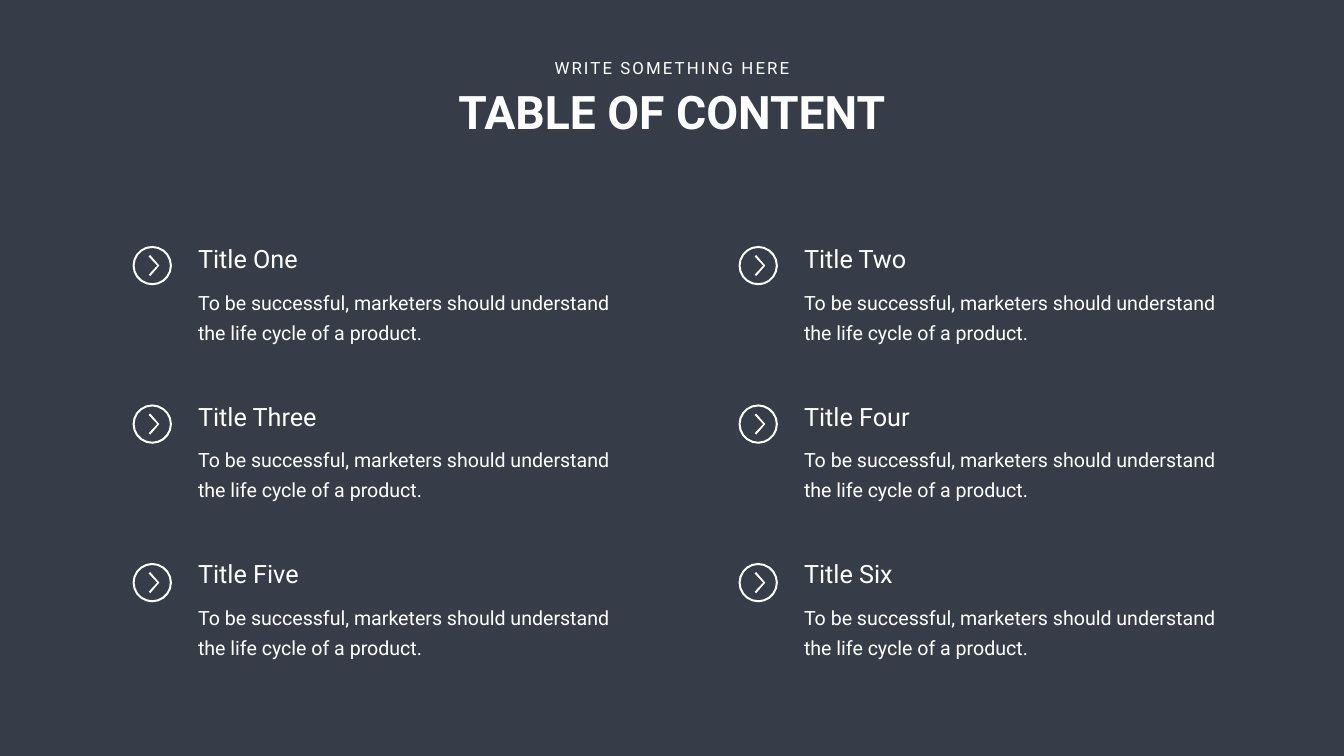
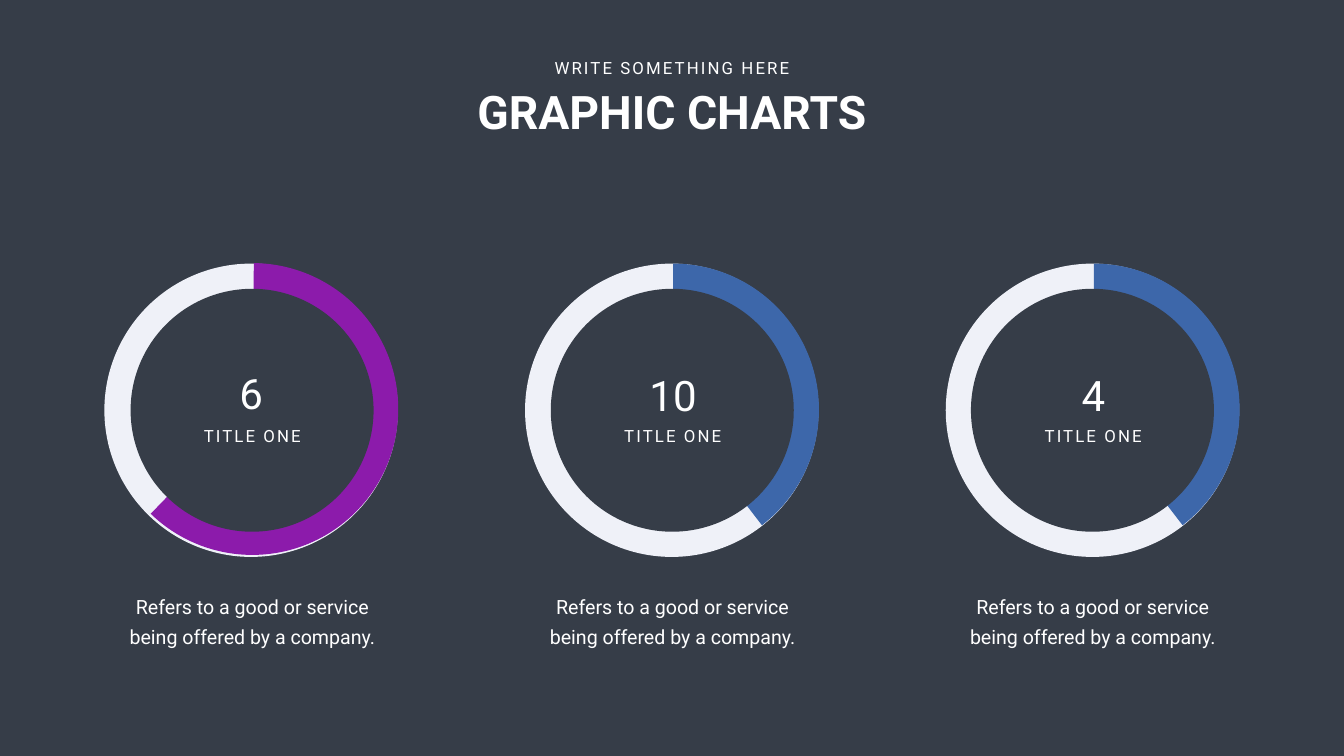
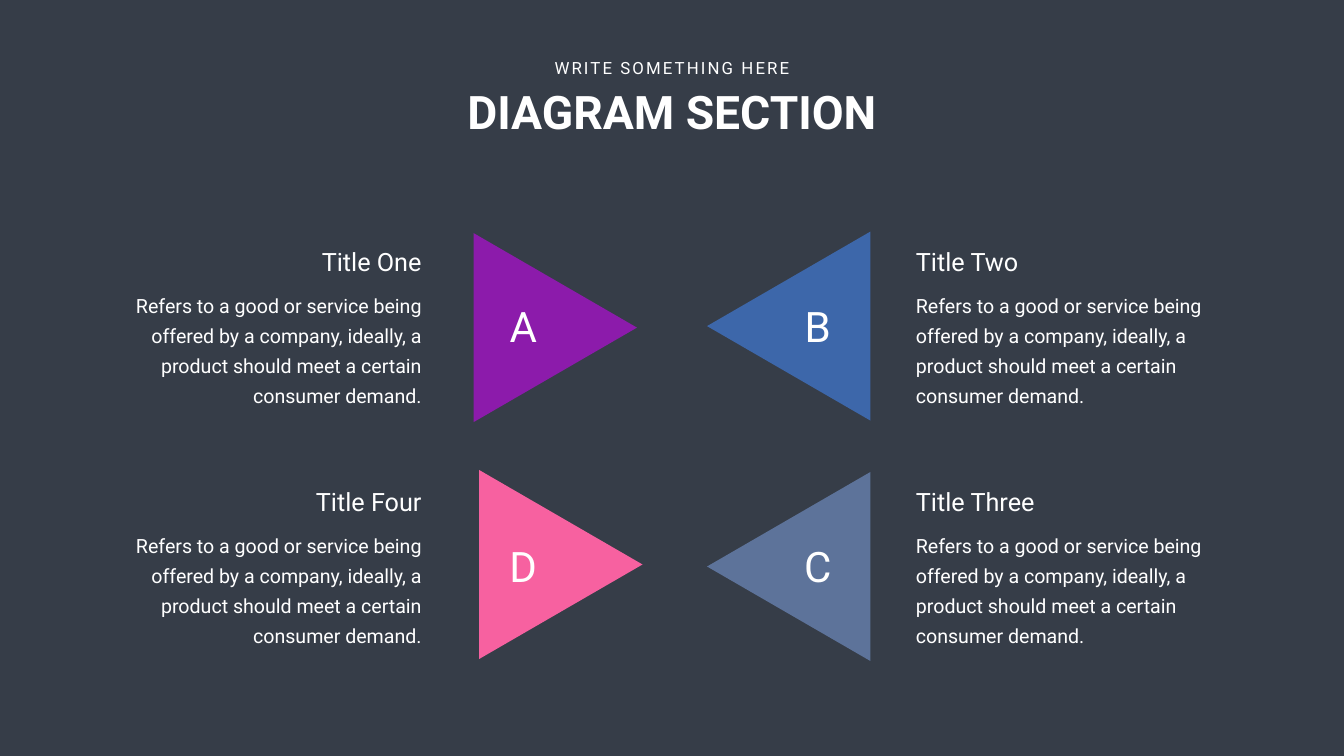
"""Build three dark slides: a table of content, ring charts and a triangle diagram."""
from math import cos, pi, sin

from pptx import Presentation
from pptx.dml.color import RGBColor
from pptx.enum.shapes import MSO_SHAPE
from pptx.enum.text import MSO_AUTO_SIZE, PP_ALIGN
from pptx.util import Inches, Pt

DARK = RGBColor(0x36, 0x3D, 0x48)
WHITE = RGBColor(0xFF, 0xFF, 0xFF)
PALE = RGBColor(0xEF, 0xF1, 0xF8)
PURPLE = RGBColor(0x8C, 0x1B, 0xAB)
BLUE = RGBColor(0x3D, 0x67, 0xAA)
SLATE = RGBColor(0x5D, 0x73, 0x9A)
PINK = RGBColor(0xF7, 0x61, 0xA0)
FONT = "Roboto"
LEFT, MID, RIGHT = PP_ALIGN.LEFT, PP_ALIGN.CENTER, PP_ALIGN.RIGHT


def write(slide, words, at, size, align=MID, bold=False, lead=None, track=None):
    box = slide.shapes.add_textbox(*map(Inches, at))
    frame = box.text_frame
    frame.word_wrap = track is None
    frame.auto_size = MSO_AUTO_SIZE.SHAPE_TO_FIT_TEXT
    para = frame.paragraphs[0]
    para.alignment = align
    if lead:
        para.line_spacing = Pt(lead)
    run = para.add_run()
    run.text = words
    font = run.font
    font.name, font.size, font.bold = FONT, Pt(size), bold
    font.color.rgb = WHITE
    if track:
        run._r.get_or_add_rPr().set("spc", str(track * 100))


def paint(shape, color):
    shape.shadow.inherit = False
    shape.fill.solid()
    shape.fill.fore_color.rgb = color
    shape.line.fill.background()
    return shape


deck = Presentation()
deck.slide_width, deck.slide_height = Inches(26.66), Inches(15)
back = deck.slide_master.background.fill
back.solid()
back.fore_color.rgb = DARK

slides = []
for title in ("TABLE OF CONTENT", "GRAPHIC CHARTS", "DIAGRAM SECTION"):
    slide = deck.slides.add_slide(deck.slide_layouts[6])
    write(slide, title, (7.61, 1.61, 11.44, 1.21), 66, bold=True)
    write(slide, "WRITE SOMETHING HERE", (10.83, 1.1, 5, 0.5), 24, track=3)
    slides.append(slide)
content, charts, diagram = slides

advice = "To be successful, marketers should understand the life cycle of a product."
names = (("One", "Three", "Five"), ("Two", "Four", "Six"))
for col, group in enumerate(names):
    for row, name in enumerate(group):
        x, y = 3.83 + 12.02 * col, 4.78 + 6.25 * row / 2
        write(content, advice, (x, y + 0.81, 8.45, 1.25), 28, LEFT, lead=43)
        write(content, f"Title {name}", (x, y, 4.19, 0.71), 36, LEFT)

STEPS = 20
turns = [2 * pi * i / STEPS for i in range(STEPS)]
outer, inner = [[(r * cos(t), r * sin(t)) for t in turns] for r in (0.39, 0.35)]
arrow = [(-0.04, -0.21), (0.14, 0), (-0.04, 0.21), (-0.07, 0.18), (0.1, 0), (-0.07, -0.18)]
for col in range(2):
    for row in range(3):
        x, y = 3.02 + 12.02 * col, 5.27 + 6.29 * row / 2
        pen = content.shapes.build_freeform(Inches(x + 0.39), Inches(y))
        for outline in (outer, inner, arrow):
            dots = [(Inches(x + dx), Inches(y + dy)) for dx, dy in outline]
            if outline is not outer:
                pen.move_to(*dots[0])
            pen.add_line_segments(dots[1:], close=True)
        paint(pen.convert_to_shape(), WHITE)

rings = (
    ("6", 3.39, 7.25, 5.22, 270.6, 134.12, PURPLE),
    ("10", 11.76, 7.28, 5.23, 270.07, 52.48, BLUE),
    ("4", 20.1, 7.28, 5.23, 270.07, 52.48, BLUE),
)
for i, (count, countx, county, top, start, end, color) in enumerate(rings):
    x, textx = 2.07 + 16.69 * i / 2, 2.11 + 16.67 * i / 2
    layers = (
        (MSO_SHAPE.OVAL, x, 5.23, 5.82, PALE),
        (MSO_SHAPE.PIE, x + 0.04, top, 5.79, color),
        (MSO_SHAPE.OVAL, textx + 0.48, 5.73, 4.82, DARK),
    )
    for kind, left, high, size, fill in layers:
        disc = charts.shapes.add_shape(kind, *map(Inches, (left, high, size, size)))
        paint(disc, fill)
        if kind == MSO_SHAPE.PIE:
            disc.adjustments[0] = start * 0.6
            disc.adjustments[1] = end * 0.6
    write(charts, count, (countx, county, 3.18, 1.11), 60)
    write(charts, "TITLE ONE", (3.91 + 8.34 * i, 8.39, 2.19, 0.5), 24, track=3)
    write(charts, "Refers to a good or service being offered by a company.",
          (textx, 11.63, 5.79, 1.25), 28, lead=43)

pitch = ("Refers to a good or service being offered by a company, ideally, "
         "a product should meet a certain consumer demand.")
parts = (
    ("A", "One", 0, 0, 9.14, 4.88, PURPLE),
    ("C", "Three", 1, 1, 13.77, 9.62, SLATE),
    ("B", "Two", 1, 0, 13.77, 4.85, BLUE),
    ("D", "Four", 0, 1, 9.25, 9.58, PINK),
)
for mark, name, col, row, left, top, color in parts:
    wedge = diagram.shapes.add_shape(
        MSO_SHAPE.ISOSCELES_TRIANGLE, *map(Inches, (left, top, 3.75, 3.24)))
    paint(wedge, color).rotation = 270 if col else 90
for mark, name, col, row, left, top, color in parts:
    y = 4.83 + 4.77 * row
    align = LEFT if col else RIGHT
    write(diagram, mark, (15.7 if col else 9.86, y + 1.08, 1.04, 1.11), 60)
    write(diagram, pitch, (18.07 if col else 2.44, 5.65 + 4.76 * row, 6.02, 2.46),
          28, align, lead=43)
    write(diagram, f"Title {name}", (18.07 if col else 4.27, y, 4.19, 0.71), 36, align)

deck.save("out.pptx")
